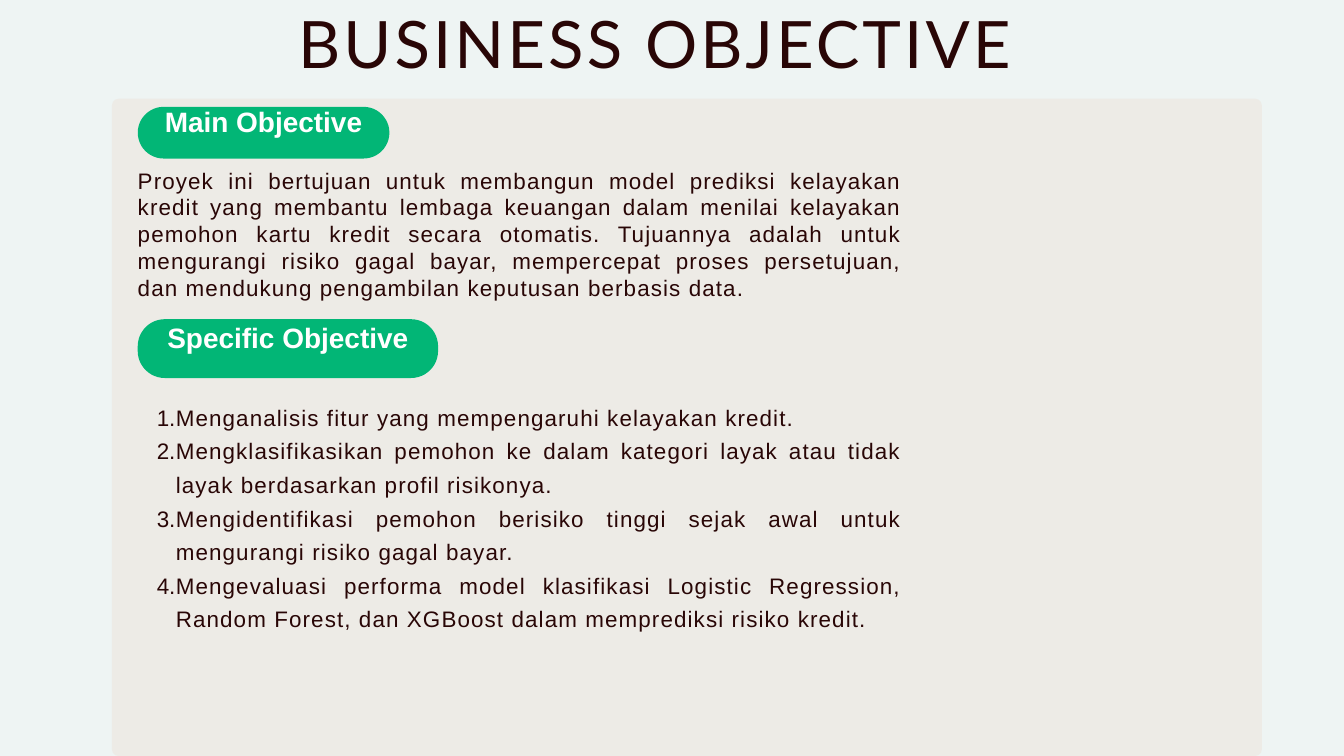
import pptx
import pptx.dml.color
import pptx.enum.shapes
import pptx.enum.text
import pptx.oxml
import pptx.oxml.ns
import pptx.util

Pt = pptx.util.Pt
RGB = pptx.dml.color.RGBColor
ALIGN = pptx.enum.text.PP_ALIGN
ANCHOR = pptx.enum.text.MSO_ANCHOR

BACKGROUND = RGB(0xEE, 0xF4, 0xF3)
PANEL = RGB(0xED, 0xEB, 0xE6)
GREEN = RGB(0x02, 0xB6, 0x76)
DARK = RGB(0x29, 0x06, 0x06)
WHITE = RGB(0xFF, 0xFF, 0xFF)

TITLE_FONT = {"name": "Lato", "size": Pt(70)}
BODY_FONT = {"name": "Arial", "size": Pt(24)}
LABEL_FONT = {"name": "Arial", "size": Pt(30), "bold": True}

LEFT = 147.6
BODY_WIDTH = 818.6
LABEL_RISE = 31  # the label's box starts this far above its pill

MAIN_OBJECTIVE = (
    "Proyek ini bertujuan untuk membangun model prediksi kelayakan kredit yang "
    "membantu lembaga keuangan dalam menilai kelayakan pemohon kartu kredit secara "
    "otomatis. Tujuannya adalah untuk mengurangi risiko gagal bayar, mempercepat "
    "proses persetujuan, dan mendukung pengambilan keputusan berbasis data."
)
SPECIFIC_OBJECTIVES = [
    "Menganalisis fitur yang mempengaruhi kelayakan kredit.",
    "Mengklasifikasikan pemohon ke dalam kategori layak atau tidak layak "
    "berdasarkan profil risikonya.",
    "Mengidentifikasi pemohon berisiko tinggi sejak awal untuk mengurangi risiko "
    "gagal bayar.",
    "Mengevaluasi performa model klasifikasi Logistic Regression, Random Forest, "
    "dan XGBoost dalam memprediksi risiko kredit.",
]


def add_rounded(page, box, radius, color):
    """Filled rounded rectangle; radius is a share of the shorter side."""
    shape = page.shapes.add_shape(
        pptx.enum.shapes.MSO_SHAPE.ROUNDED_RECTANGLE, *map(Pt, box))
    shape.adjustments[0] = radius
    shape.shadow.inherit = False
    shape.fill.solid()
    shape.fill.fore_color.rgb = color
    shape.line.fill.background()


def add_text(page, box, lines, font, color, align, leading,
             tracking=0, inset=0, anchor=ANCHOR.TOP):
    """Text box with one paragraph for each line; returns the paragraphs."""
    frame = page.shapes.add_textbox(*map(Pt, box)).text_frame
    frame_format = {"word_wrap": True, "vertical_anchor": anchor}
    for side in ("left", "top", "right", "bottom"):
        frame_format["margin_" + side] = Pt(inset)
    for name, value in frame_format.items():
        setattr(frame, name, value)
    for index, line in enumerate(lines):
        para = frame.add_paragraph() if index else frame.paragraphs[0]
        para.alignment = align
        para.line_spacing = Pt(leading)
        span = para.add_run()
        span.text = line
        for name, value in font.items():
            setattr(span.font, name, value)
        span.font.color.rgb = color
        if tracking:
            span._r.get_or_add_rPr().set("spc", str(round(tracking * 100)))
    return frame.paragraphs


def add_title(page, box):
    add_text(page, box, ["BUSINESS OBJECTIVE"], TITLE_FONT, DARK,
             ALIGN.CENTER, 70, tracking=3.4)


def add_pill(page, box, label, radius):
    left, top, width, height = box
    add_rounded(page, box, radius, GREEN)
    label_box = (left, top - LABEL_RISE, width, height + LABEL_RISE)
    add_text(page, label_box, [label], LABEL_FONT, WHITE,
             ALIGN.CENTER, 42, inset=4, anchor=ANCHOR.MIDDLE)


def add_body(page, box, lines, leading):
    return add_text(page, box, lines, BODY_FONT, DARK,
                    ALIGN.JUSTIFY, leading, tracking=1.2)


def add_numbered_list(page, box, lines, leading):
    for para in add_body(page, box, lines, leading):
        para.level = 1
        properties = para._p.get_or_add_pPr()
        properties.set("marL", str(Pt(40.8)))
        properties.set("indent", str(-Pt(20.4)))
        properties.append(pptx.oxml.parse_xml(
            "<a:buAutoNum %s type='arabicPeriod'/>" % pptx.oxml.ns.nsdecls("a")))


def main():
    deck = pptx.Presentation()
    deck.slide_width, deck.slide_height = Pt(1440), Pt(810)
    page = deck.slides.add_slide(deck.slide_layouts[6])
    page.background.fill.solid()
    page.background.fill.fore_color.rgb = BACKGROUND

    # Panel and title
    add_rounded(page, (120, 105.8, 1232, 704.2), 0.01, PANEL)
    add_title(page, (120, 17.3, 1163.5, 84.2))

    # Main objective
    add_pill(page, (LEFT, 114.5, 269.6, 55.4), "Main Objective", 0.5)
    add_body(page, (LEFT, 178.6, BODY_WIDTH, 146.2), [MAIN_OBJECTIVE], 28.8)

    # Specific objectives
    add_pill(page, (LEFT, 342, 321.8, 63), "Specific Objective", 0.46)
    add_numbered_list(page, (LEFT, 425.5, BODY_WIDTH, 254.9), SPECIFIC_OBJECTIVES, 36)

    deck.save("out.pptx")


if __name__ == "__main__":
    main()
